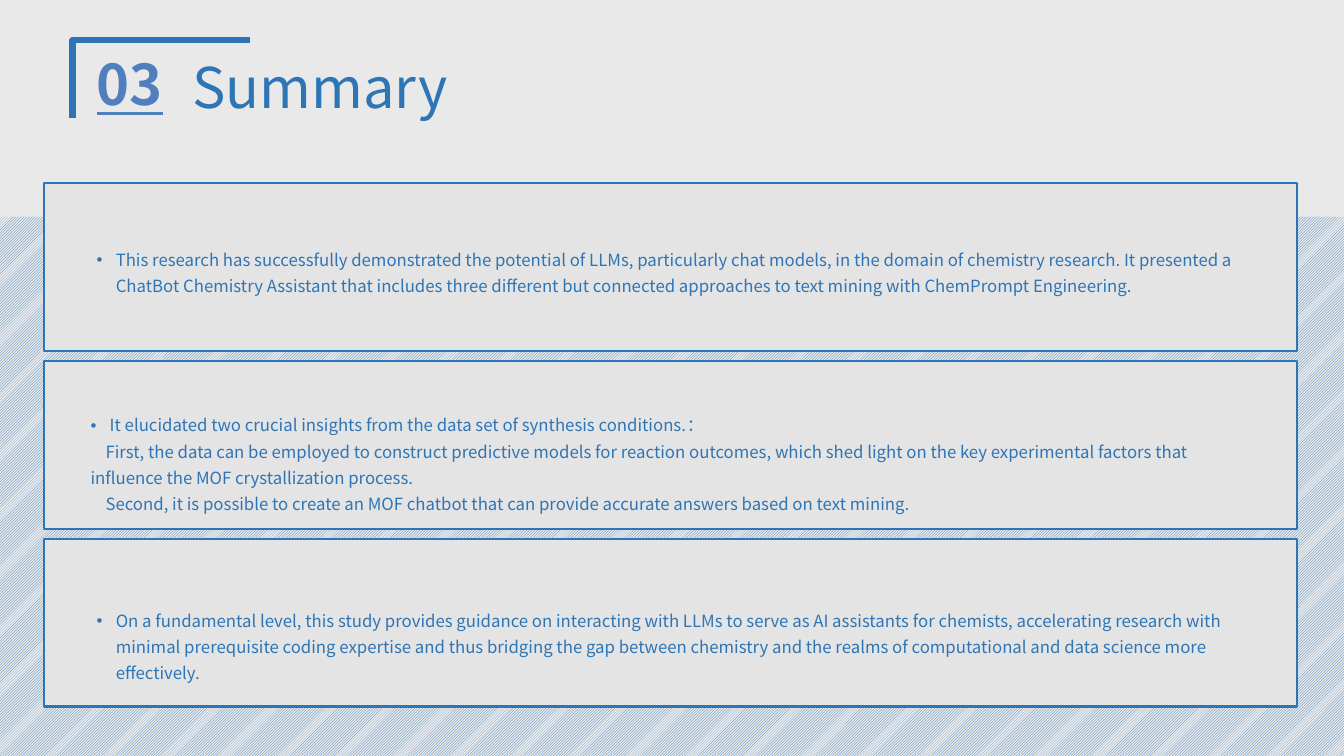
from lxml.etree import SubElement
from pptx import Presentation
from pptx.dml.color import RGBColor
from pptx.enum.dml import MSO_PATTERN
from pptx.enum.shapes import MSO_SHAPE as Preset
from pptx.enum.text import MSO_AUTO_SIZE as AutoSize
from pptx.oxml.ns import qn
from pptx.util import Pt

COLORS = {
    "background": "E9E9E9",
    "panel": "E4E4E4",
    "blue": "2E75B6",
    "number": "4F7FBD",
}
FONT = "Noto Sans CJK SC"
PANEL_LEFT, PANEL_TOP, PANEL_PITCH = 31.7, 131, 127.1
PANEL_WIDTH, PANEL_HEIGHT = 895, 119.5
HANGING, FIRST_LINE = 13.7, 10.7

# Each block: left, top, height, bulleted paragraph, indented paragraphs
SUMMARY = [
    (61.9, 170.6, 61.9,
     "This research has successfully demonstrated the potential of LLMs, "
     "particularly chat models, in the domain of chemistry research. It presented a "
     "ChatBot Chemistry Assistant that includes three different but connected "
     "approaches to text mining with ChemPrompt Engineering.", []),
    (57.6, 288.7, 81.4,
     "It elucidated two crucial insights from the data set of synthesis conditions.：",
     ["First, the data can be employed to construct predictive models for reaction "
      "outcomes, which shed light on the key experimental factors that influence "
      "the MOF crystallization process.",
      "Second, it is possible to create an MOF chatbot that can provide accurate "
      "answers based on text mining."]),
    (61.9, 428.4, 81.4,
     "On a fundamental level, this study provides guidance on interacting with LLMs "
     "to serve as AI assistants for chemists, accelerating research with minimal "
     "prerequisite coding expertise and thus bridging the gap between chemistry and "
     "the realms of computational and data science more effectively.", []),
]


def color(name):
    return RGBColor.from_string(COLORS[name])


def add_bracket(slide):
    """Draw the open corner around the section number."""
    builder = slide.shapes.build_freeform(Pt(51.8), Pt(84.2))
    builder.add_line_segments(
        [(Pt(51.8), Pt(28.8)), (Pt(178.6), Pt(28.8))], close=False)
    bracket = builder.convert_to_shape()
    bracket.shadow.inherit = False
    bracket.fill.background()
    bracket.line.color.rgb = color("blue")
    bracket.line.width = Pt(4.5)


def add_striped_band(slide):
    band = slide.shapes.add_shape(Preset.RECTANGLE, Pt(0), Pt(154.8), Pt(960), Pt(385.2))
    band.shadow.inherit = False
    band.fill.patterned()
    band.fill.pattern = MSO_PATTERN.LIGHT_UPWARD_DIAGONAL
    band.fill.fore_color.rgb = color("blue")
    band.fill.back_color.rgb = color("background")
    band.line.fill.background()


def add_panel(slide, top):
    panel = slide.shapes.add_shape(
        Preset.RECTANGLE, Pt(PANEL_LEFT), Pt(top), Pt(PANEL_WIDTH), Pt(PANEL_HEIGHT))
    panel.shadow.inherit = False
    panel.fill.solid()
    panel.fill.fore_color.rgb = color("panel")
    panel.line.color.rgb = color("blue")
    panel.line.width = Pt(1.5)


def add_text(slide, left, top, width, height, lines, size, ink="blue"):
    box = slide.shapes.add_textbox(Pt(left), Pt(top), Pt(width), Pt(height))
    frame = box.text_frame
    frame.word_wrap = True
    frame.auto_size = AutoSize.SHAPE_TO_FIT_TEXT
    frame.text = "\n".join(lines)
    for paragraph in frame.paragraphs:
        for run in paragraph.runs:
            run.font.size = Pt(size)
            run.font.name = FONT
            run.font.color.rgb = color(ink)
            east_asian = SubElement(run.font._element, qn("a:ea"))
            east_asian.set("typeface", FONT)
    return frame.paragraphs


def set_indent(paragraph, margin, first_line):
    properties = paragraph._p.get_or_add_pPr()
    properties.set("marL", str(Pt(margin)))
    properties.set("indent", str(Pt(first_line)))
    return properties


def add_summary(slide, left, top, height, point, details):
    """Write one bulleted point followed by its indented details."""
    paragraphs = add_text(slide, left, top, 828.7, height, [point, *details], 12)
    for paragraph in paragraphs:
        paragraph.line_spacing = 1.3
    bulleted = set_indent(paragraphs[0], HANGING, -HANGING)
    SubElement(bulleted, qn("a:buFont")).set("typeface", "Arial")
    SubElement(bulleted, qn("a:buChar")).set("char", "•")
    for paragraph in paragraphs[1:]:
        set_indent(paragraph, 0, FIRST_LINE)


def main():
    deck = Presentation()
    deck.slide_width, deck.slide_height = Pt(960), Pt(540)
    slide = deck.slides.add_slide(deck.slide_layouts[6])
    slide.background.fill.solid()
    slide.background.fill.fore_color.rgb = color("background")

    add_bracket(slide)
    add_striped_band(slide)
    number = add_text(slide, 61.9, 31.7, 68.4, 55.4, ["03"], 40, "number")
    number[0].runs[0].font.bold = True
    number[0].runs[0].font.underline = True
    add_text(slide, 130.3, 33.8, 216.7, 55.4, ["Summary"], 40)

    for index, block in enumerate(SUMMARY):
        add_panel(slide, PANEL_TOP + index * PANEL_PITCH)
        add_summary(slide, *block)
    deck.save("out.pptx")


if __name__ == "__main__":
    main()
